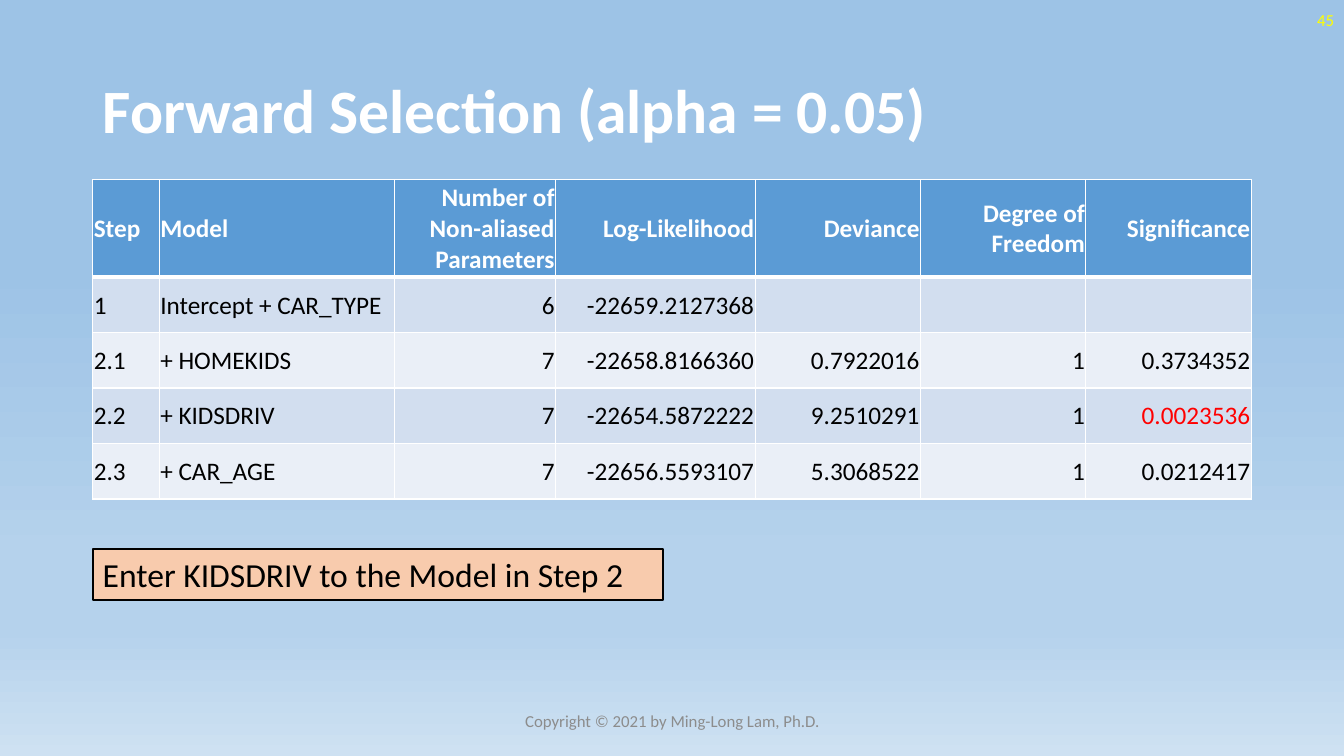
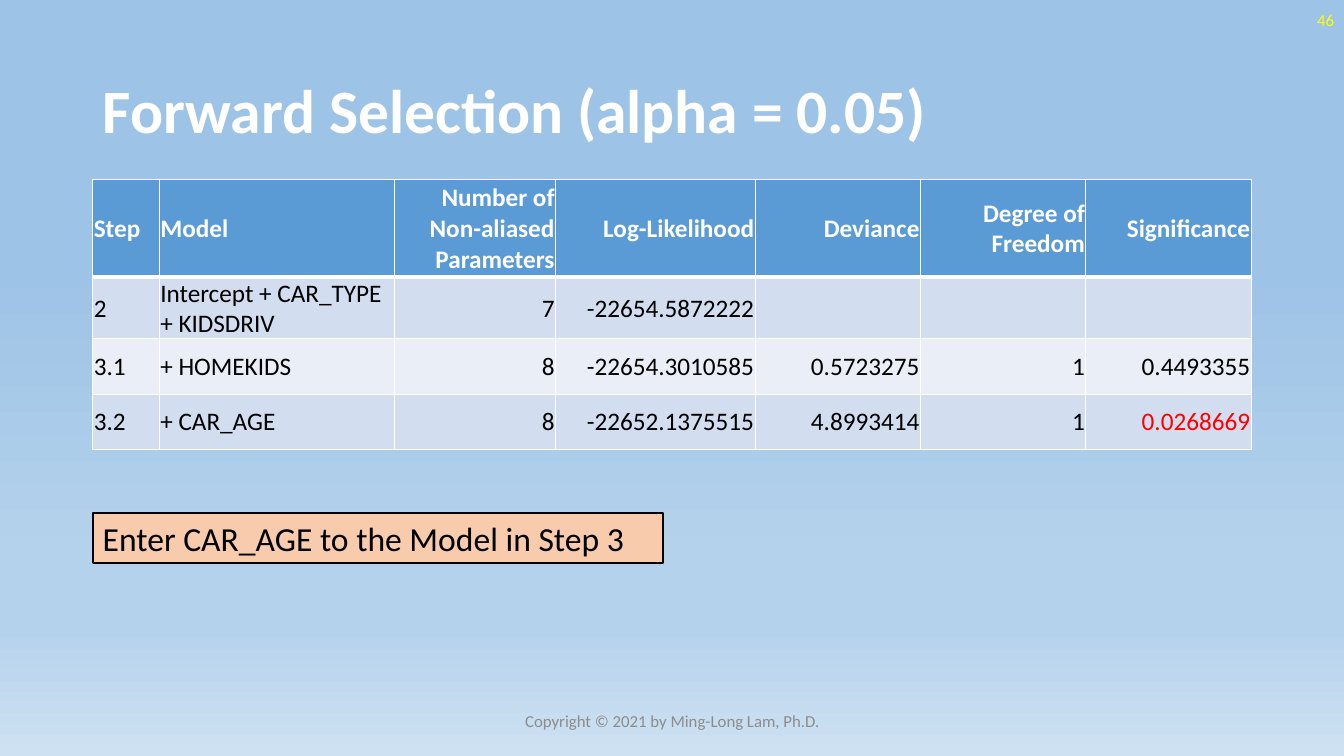
from dataclasses import dataclass

from lxml.etree import SubElement
from pptx import Presentation
from pptx.dml.color import RGBColor
from pptx.enum.shapes import MSO_SHAPE
from pptx.enum.text import MSO_ANCHOR, MSO_AUTO_SIZE, PP_ALIGN
from pptx.oxml.ns import qn
from pptx.util import Inches, Pt


@dataclass(frozen=True)
class Theme:
    font: str = "Calibri"
    white: str = "FFFFFF"
    black: str = "000000"
    header: str = "5B9BD5"
    bands: tuple = ("D2DEEF", "EAEFF7")
    callout: str = "F8CBAD"
    highlight: str = "FF0000"
    number: str = "FFFF00"
    footer: str = "8C8C8C"
    # (position in percent, colour), from top to bottom
    backdrop: tuple = ((35, "9DC3E6"), (74, "B5D2EC"), (83, "B5D2EC"), (100, "CEE1F2"))
    title_size: int = 44
    callout_size: int = 24
    table_size: int = 18
    small_size: int = 12


THEME = Theme()
LEFT, CONTENT_WIDTH = 0.92, 11.5
TABLE_TOP, HEADER_HEIGHT, ROW_HEIGHT = 1.78, 0.97, 0.55
COLUMN_WIDTHS = (0.66, 2.33, 1.6, 1.98, 1.64, 1.64, 1.64)
TEXT_COLUMNS = 2
THIN, THICK = 1, 3

TITLE = "Forward Selection (alpha = 0.05)"
FOOTER = "Copyright © 2021 by Ming-Long Lam, Ph.D."
HEADINGS = ("Step", "Model", "Number of Non-aliased Parameters", "Log-Likelihood",
            "Deviance", "Degree of Freedom", "Significance")

# slide number, table rows, callout text, callout top
SLIDES = (
    (45, (
        ("1", "Intercept + CAR_TYPE", "6", "-22659.2127368", "", "", ""),
        ("2.1", "+ HOMEKIDS", "7", "-22658.8166360", "0.7922016", "1", "0.3734352"),
        ("2.2", "+ KIDSDRIV", "7", "-22654.5872222", "9.2510291", "1", "0.0023536"),
        ("2.3", "+ CAR_AGE", "7", "-22656.5593107", "5.3068522", "1", "0.0212417"),
    ), "Enter KIDSDRIV to the Model in Step 2", 5.45),
    (46, (
        ("2", "Intercept + CAR_TYPE + KIDSDRIV", "7", "-22654.5872222", "", "", ""),
        ("3.1", "+ HOMEKIDS", "8", "-22654.3010585", "0.5723275", "1", "0.4493355"),
        ("3.2", "+ CAR_AGE", "8", "-22652.1375515", "4.8993414", "1", "0.0268669"),
    ), "Enter CAR_AGE to the Model in Step 3", 5.09),
)


def rgb(color):
    return RGBColor.from_string(color)


def write(tf, text, size, color, bold=False, align=PP_ALIGN.LEFT, spacing=None):
    p = tf.paragraphs[0]
    p.alignment = align
    p.line_spacing = spacing
    p.font.size = Pt(size)
    if text:
        r = p.add_run()
        r.text = text
        r.font.name = THEME.font
        r.font.size = Pt(size)
        r.font.bold = bold
        r.font.color.rgb = rgb(color)


def add_text(s, box, text, **fmt):
    tf = s.shapes.add_textbox(*map(Inches, box)).text_frame
    tf.word_wrap = True
    tf.vertical_anchor = MSO_ANCHOR.MIDDLE
    write(tf, text, **fmt)


def add_callout(s, box, text):
    sp = s.shapes.add_shape(MSO_SHAPE.RECTANGLE, *map(Inches, box))
    sp.shadow.inherit = False
    sp.fill.solid()
    sp.fill.fore_color.rgb = rgb(THEME.callout)
    sp.line.color.rgb = rgb(THEME.black)
    sp.line.width = Pt(1.5)
    tf = sp.text_frame
    tf.word_wrap = True
    tf.auto_size = MSO_AUTO_SIZE.SHAPE_TO_FIT_TEXT
    tf.vertical_anchor = MSO_ANCHOR.TOP
    write(tf, text, THEME.callout_size, THEME.black)


def set_borders(cell, **widths):
    """Draw white borders; widths in points are keyed by side: L, R, T, B."""
    tcPr = cell._tc.get_or_add_tcPr()
    for side, width in widths.items():
        ln = SubElement(tcPr, qn(f"a:ln{side}"), w=str(Pt(width)))
        fill = SubElement(ln, qn("a:solidFill"))
        SubElement(fill, qn("a:srgbClr"), val=THEME.white)


def format_cell(cell, text, fill, borders, **fmt):
    set_borders(cell, **borders)
    cell.fill.solid()
    cell.fill.fore_color.rgb = rgb(fill)
    cell.vertical_anchor = MSO_ANCHOR.MIDDLE
    cell.margin_left = cell.margin_right = cell.margin_top = Inches(0.01)
    cell.margin_bottom = 0
    write(cell.text_frame, text, THEME.table_size, **fmt)


def add_step_table(s, rows):
    """Add the table of candidate models, with the lowest significance highlighted."""
    lowest = min((row[-1] for row in rows if row[-1]), key=float)
    height = HEADER_HEIGHT + ROW_HEIGHT * len(rows)
    table = s.shapes.add_table(
        len(rows) + 1, len(HEADINGS), Inches(LEFT), Inches(TABLE_TOP),
        Inches(CONTENT_WIDTH), Inches(height)).table
    for column, width in zip(table.columns, COLUMN_WIDTHS):
        column.width = Inches(width)
    for i, row in enumerate((HEADINGS, *rows)):
        is_header = i == 0
        table.rows[i].height = Inches(HEADER_HEIGHT if is_header else ROW_HEIGHT)
        fill = THEME.header if is_header else THEME.bands[(i - 1) % 2]
        borders = {"L": THIN, "R": THIN, "T": THICK if i == 1 else THIN,
                   "B": THICK if is_header else THIN}
        for j, text in enumerate(row):
            color = THEME.white if is_header else THEME.black
            if j == len(row) - 1 and text == lowest:
                color = THEME.highlight
            align = PP_ALIGN.LEFT if j < TEXT_COLUMNS else PP_ALIGN.RIGHT
            format_cell(table.cell(i, j), text, fill, borders,
                        color=color, bold=is_header, align=align)


def set_backdrop(master):
    fill = master.background.fill
    fill.gradient()
    fill.gradient_angle = 270
    stops = master.element.find(".//" + qn("p:bg")).find(".//" + qn("a:gsLst"))
    for stop in list(stops):
        stops.remove(stop)
    for position, color in THEME.backdrop:
        stop = SubElement(stops, qn("a:gs"), pos=str(position * 1000))
        SubElement(stop, qn("a:srgbClr"), val=color)


def add_slide(prs, number):
    """Add a slide with the shared title, slide number and footer."""
    s = prs.slides.add_slide(prs.slide_layouts[6])
    add_text(s, (LEFT, 0.4, CONTENT_WIDTH, 1.45), TITLE, size=THEME.title_size,
             color=THEME.white, bold=True, spacing=0.9)
    add_text(s, (10.33, 0, 3, 0.4), str(number), size=THEME.small_size,
             color=THEME.number, align=PP_ALIGN.RIGHT)
    add_text(s, (4.42, 6.95, 4.5, 0.4), FOOTER, size=THEME.small_size,
             color=THEME.footer, align=PP_ALIGN.CENTER)
    return s


def main():
    prs = Presentation()
    prs.slide_width, prs.slide_height = Inches(13.33), Inches(7.5)
    set_backdrop(prs.slide_master)
    for number, rows, conclusion, callout_top in SLIDES:
        s = add_slide(prs, number)
        add_step_table(s, rows)
        add_callout(s, (LEFT, callout_top, 5.66, 0.5), conclusion)
    prs.save("out.pptx")


if __name__ == "__main__":
    main()
